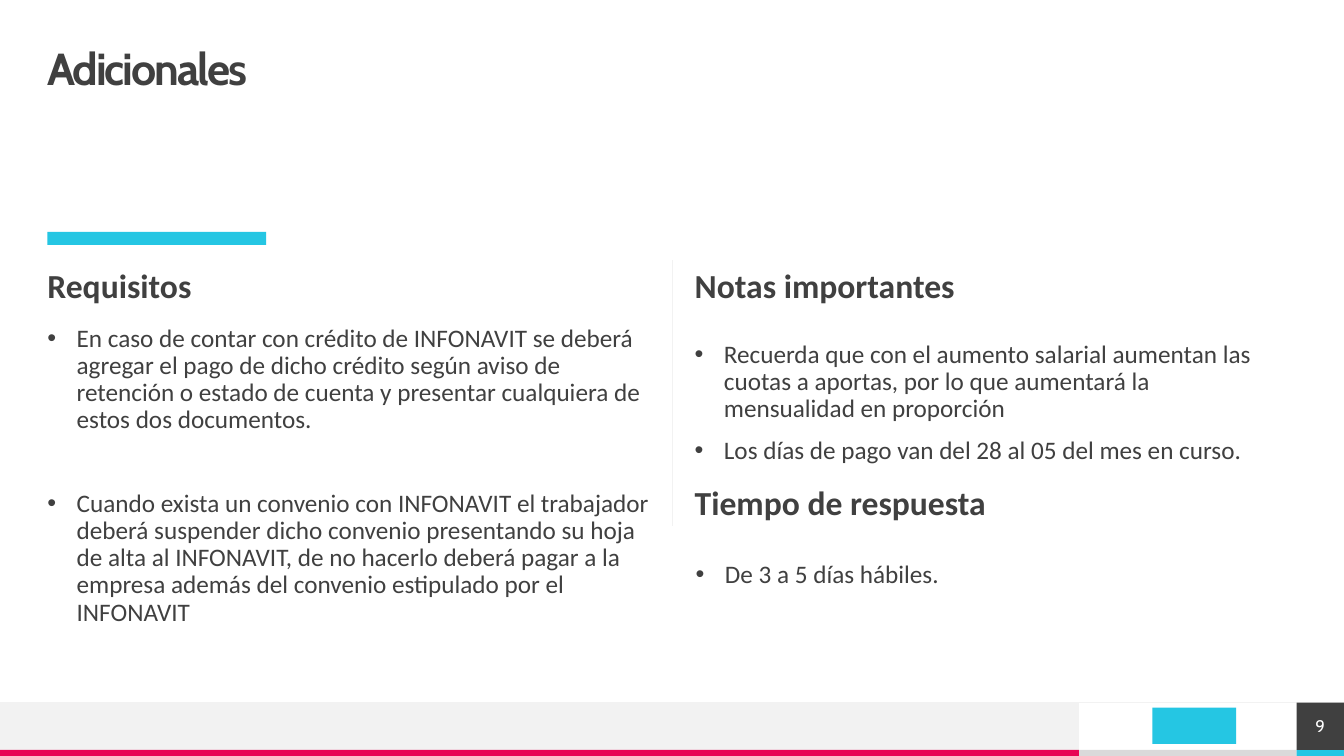
from dataclasses import dataclass

from lxml import etree
from pptx import Presentation
from pptx.dml.color import RGBColor
from pptx.enum.shapes import MSO_CONNECTOR, MSO_SHAPE
from pptx.enum.text import MSO_ANCHOR, PP_ALIGN
from pptx.oxml.ns import qn
from pptx.shapes.autoshape import Shape
from pptx.slide import Slide
from pptx.util import Inches, Pt

RECTANGLE = MSO_SHAPE.RECTANGLE
STRAIGHT = MSO_CONNECTOR.STRAIGHT
TOP, MIDDLE = MSO_ANCHOR.TOP, MSO_ANCHOR.MIDDLE
LEFT, CENTER = PP_ALIGN.LEFT, PP_ALIGN.CENTER

COLORS = {
    "cyan": "25C6E3",
    "magenta": "E80554",
    "dark": "404040",
    "pale": "F2F2F2",
    "gray": "DADADA",
    "white": "FFFFFF",
}

PAGE_WIDTH, PAGE_HEIGHT = 13.33, 7.5
MARGIN = 0.47
RIGHT_COLUMN = 6.89
COLUMN_WIDTH = 5.98
HEADING_HEIGHT = 0.39
FOOTER_TOP, STRIPE_TOP = 6.97, 7.44
STRIPE_HEIGHT = PAGE_HEIGHT - STRIPE_TOP
FOOTER_HEIGHT = STRIPE_TOP - FOOTER_TOP
LOGO_LEFT, NUMBER_LEFT = 10.7, 12.86
BULLET_INDENT = 0.29


@dataclass(frozen=True)
class TextStyle:
    font: dict
    color: str = "dark"
    anchor: MSO_ANCHOR = TOP
    align: PP_ALIGN = LEFT
    line_spacing: float = 0.9
    bullet: bool = False
    tracking: float = 0


@dataclass(frozen=True)
class Block:
    left: float
    top: float
    width: float
    height: float
    color: str


@dataclass(frozen=True)
class TextBlock:
    left: float
    top: float
    width: float
    height: float
    style: TextStyle
    paragraphs: tuple[str, ...]
    gap: float = 10


@dataclass(frozen=True)
class Rule:
    start: tuple[float, float]
    end: tuple[float, float]


TITLE = TextStyle({"name": "Cabin", "size": Pt(32), "bold": True}, anchor=MIDDLE, tracking=-1.5)
HEADING = TextStyle({"name": "Calibri", "size": Pt(24), "bold": True})
BODY = TextStyle({"name": "Calibri", "size": Pt(18)}, bullet=True)
NUMBER = TextStyle({"name": "Cabin", "size": Pt(12)}, "white", MIDDLE, CENTER, 1.0)

BLOCKS = (
    Block(LOGO_LEFT, STRIPE_TOP, NUMBER_LEFT - LOGO_LEFT, STRIPE_HEIGHT, "gray"),
    Block(0, FOOTER_TOP, LOGO_LEFT, FOOTER_HEIGHT, "pale"),
    Block(11.43, 7.02, 0.83, 0.36, "cyan"),
    Block(0, STRIPE_TOP, LOGO_LEFT, STRIPE_HEIGHT, "magenta"),
    Block(NUMBER_LEFT, STRIPE_TOP, PAGE_WIDTH - NUMBER_LEFT, STRIPE_HEIGHT, "cyan"),
    Block(MARGIN, 2.3, 2.17, 0.13, "cyan"),
)

RULES = (
    Rule((PAGE_WIDTH, FOOTER_TOP), (0, FOOTER_TOP)),
    Rule((6.67, 2.58), (6.67, 5.22)),
)

NUMBER_BLOCK = Block(NUMBER_LEFT, FOOTER_TOP, PAGE_WIDTH - NUMBER_LEFT, FOOTER_HEIGHT, "dark")

TEXTS = (
    TextBlock(MARGIN, 0.47, 12.4, 0.47, TITLE, ("Adicionales",)),
    TextBlock(MARGIN, 2.67, COLUMN_WIDTH, HEADING_HEIGHT, HEADING, ("Requisitos",)),
    TextBlock(MARGIN, 3.23, COLUMN_WIDTH, 2.4, BODY, (
        "En caso de contar con crédito de INFONAVIT se deberá agregar el pago de dicho crédito "
        "según aviso de retención o estado de cuenta y presentar cualquiera de estos dos documentos.",
        "Cuando exista un convenio con INFONAVIT el trabajador deberá suspender dicho convenio "
        "presentando su hoja de alta al INFONAVIT, de no hacerlo deberá pagar a la empresa además "
        "del convenio estipulado por el INFONAVIT",
    ), gap=40),
    TextBlock(RIGHT_COLUMN, 2.67, COLUMN_WIDTH, HEADING_HEIGHT, HEADING, ("Notas importantes",)),
    TextBlock(RIGHT_COLUMN, 3.39, 5.74, 1.35, BODY, (
        "Recuerda que con el aumento salarial aumentan las cuotas a aportas, por lo que "
        "aumentará la mensualidad en proporción",
        "Los días de pago van del 28 al 05 del mes en curso.",
    )),
    TextBlock(RIGHT_COLUMN, 4.83, COLUMN_WIDTH, HEADING_HEIGHT, HEADING, ("Tiempo de respuesta",)),
    TextBlock(6.9, 5.57, COLUMN_WIDTH, 1.2, BODY, ("De 3 a 5 días hábiles.",)),
)


def rgb(color: str) -> RGBColor:
    return RGBColor.from_string(COLORS[color])


def draw_block(page: Slide, block: Block) -> Shape:
    bounds = map(Inches, (block.left, block.top, block.width, block.height))
    box = page.shapes.add_shape(RECTANGLE, *bounds)
    box.shadow.inherit = False
    box.fill.solid()
    box.fill.fore_color.rgb = rgb(block.color)
    box.line.fill.background()
    return box


def draw_rule(page: Slide, rule: Rule) -> None:
    ends = map(Inches, (*rule.start, *rule.end))
    connector = page.shapes.add_connector(STRAIGHT, *ends)
    connector.line.color.rgb = rgb("pale")
    connector.line.width = Pt(0.5)
    etree.SubElement(connector._element.spPr, qn("a:effectLst"))


def write_text(box: Shape, paragraphs: tuple[str, ...], style: TextStyle, gap: float = 0) -> None:
    frame = box.text_frame
    frame_format = {
        "word_wrap": True,
        "vertical_anchor": style.anchor,
        "margin_left": 0,
        "margin_top": 0,
        "margin_right": 0,
        "margin_bottom": 0,
    }
    for name, value in frame_format.items():
        setattr(frame, name, value)
    for index, text in enumerate(paragraphs):
        para = frame.add_paragraph() if index else frame.paragraphs[0]
        if style.bullet:
            properties = para._p.get_or_add_pPr()
            properties.set("marL", str(Inches(BULLET_INDENT)))
            properties.set("indent", str(-Inches(BULLET_INDENT)))
            etree.SubElement(properties, qn("a:buFont"), typeface="Arial")
            etree.SubElement(properties, qn("a:buChar"), char="•")
        para.alignment = style.align
        para.line_spacing = style.line_spacing
        para.space_before = Pt(gap if index else 0)
        span = para.add_run()
        span.text = text
        for name, value in style.font.items():
            setattr(span.font, name, value)
        span.font.color.rgb = rgb(style.color)
        if style.tracking:
            span._r.get_or_add_rPr().set("spc", str(round(style.tracking * 100)))


def draw_text(page: Slide, block: TextBlock) -> None:
    bounds = map(Inches, (block.left, block.top, block.width, block.height))
    box = page.shapes.add_textbox(*bounds)
    write_text(box, block.paragraphs, block.style, block.gap)


def main() -> None:
    deck = Presentation()
    deck.slide_width = Inches(PAGE_WIDTH)
    deck.slide_height = Inches(PAGE_HEIGHT)
    page = deck.slides.add_slide(deck.slide_layouts[6])
    for block in BLOCKS:
        draw_block(page, block)
    for rule in RULES:
        draw_rule(page, rule)
    write_text(draw_block(page, NUMBER_BLOCK), ("9",), NUMBER)
    for text_block in TEXTS:
        draw_text(page, text_block)
    deck.save("out.pptx")


if __name__ == "__main__":
    main()
